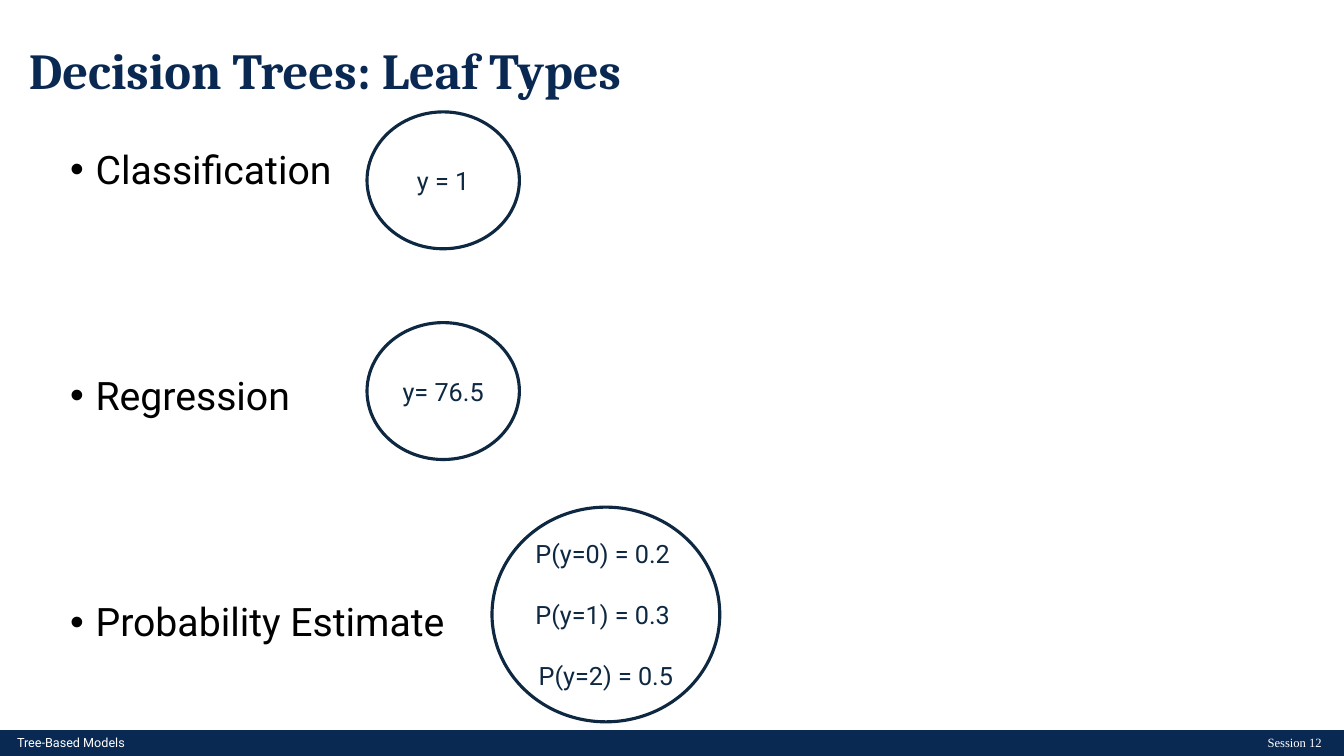
from dataclasses import dataclass

from lxml import etree
from pptx import Presentation
from pptx.dml.color import RGBColor
from pptx.enum.shapes import MSO_SHAPE
from pptx.enum.text import MSO_ANCHOR, PP_ALIGN
from pptx.oxml.ns import qn
from pptx.util import Cm, Pt

OVAL, RECT = MSO_SHAPE.OVAL, MSO_SHAPE.RECTANGLE
TOP, MIDDLE = MSO_ANCHOR.TOP, MSO_ANCHOR.MIDDLE
LEFT, CENTER = PP_ALIGN.LEFT, PP_ALIGN.CENTER
RIGHT, JUSTIFY = PP_ALIGN.RIGHT, PP_ALIGN.JUSTIFY


@dataclass(frozen=True)
class Style:
    font: str
    size: float
    color: RGBColor
    bold: bool = False


@dataclass(frozen=True)
class Theme:
    navy = RGBColor(0x09, 0x29, 0x53)
    ink = RGBColor(0x0E, 0x28, 0x41)
    white = RGBColor(0xFF, 0xFF, 0xFF)
    title = Style("Cambria", 36, navy, True)
    body = Style("Roboto", 28, RGBColor(0, 0, 0))
    leaf = Style("Roboto", 18, ink)
    topic = Style("Roboto", 9, white)
    page = Style("Times New Roman", 9, white)


@dataclass(frozen=True)
class Box:
    left: float
    top: float
    width: float
    height: float

    def cm(self) -> tuple:
        return Cm(self.left), Cm(self.top), Cm(self.width), Cm(self.height)


@dataclass(frozen=True)
class Leaf:
    box: Box
    lines: tuple


@dataclass(frozen=True)
class Label:
    box: Box
    lines: tuple
    style: Style
    align: PP_ALIGN = LEFT
    anchor: MSO_ANCHOR = MIDDLE
    spacing: float = 1
    gap: float = 0
    bullet: bool = False


THEME = Theme()
WIDE, HIGH = 33.87, 19.05
TYPES = ("Classification", "Regression", "Probability Estimate")
LABELS = (
    Label(Box(0.48, 0, 29.21, 3.68), ("Decision Trees: Leaf Types",),
          THEME.title, spacing=0.9),
    Label(Box(1.52, 3.66, 29.21, 14.1), TYPES, THEME.body, JUSTIFY, TOP,
          spacing=0.9, gap=131.5, bullet=True),
    Label(Box(0.18, 18.39, 18.9, 0.64), ("Tree-Based Models",), THEME.topic),
    Label(Box(14.66, 18.39, 18.9, 0.64), ("Session 12",), THEME.page, RIGHT),
)
LEAVES = (
    Leaf(Box(9.25, 2.82, 3.84, 3.45), ("y = 1",)),
    Leaf(Box(9.25, 8.13, 3.84, 3.45), ("y= 76.5",)),
    Leaf(Box(12.4, 12.78, 5.74, 5.41),
         ("P(y=0) = 0.2 ", "P(y=1) = 0.3 ", "P(y=2) = 0.5")),
)


def add_bullet(para) -> None:
    """Give the paragraph a round bullet with a hanging indent."""
    props = para._p.get_or_add_pPr()
    props.set("marL", str(Cm(0.64)))
    props.set("indent", str(-Cm(0.64)))
    etree.SubElement(props, qn("a:buFont")).set("typeface", "Arial")
    etree.SubElement(props, qn("a:buChar")).set("char", "•")


def write(frame, label: Label) -> None:
    frame.word_wrap = True
    frame.vertical_anchor = label.anchor
    for i, line in enumerate(label.lines):
        para = frame.add_paragraph() if i else frame.paragraphs[0]
        para.text = line
        para.alignment = label.align
        para.line_spacing = label.spacing
        if i:
            para.space_before = Pt(label.gap)
        if label.bullet:
            add_bullet(para)
        font, style = para.font, label.style
        font.name, font.size, font.bold = style.font, Pt(style.size), style.bold
        font.color.rgb = style.color


def add_shape(slide, kind: MSO_SHAPE, box: Box, fill: RGBColor,
              line: RGBColor, weight: float):
    shape = slide.shapes.add_shape(kind, *box.cm())
    shape.shadow.inherit = False
    shape.fill.solid()
    shape.fill.fore_color.rgb = fill
    shape.line.color.rgb = line
    shape.line.width = Pt(weight)
    return shape


def add_leaf(slide, leaf: Leaf) -> None:
    oval = add_shape(slide, OVAL, leaf.box, THEME.white, THEME.ink, 2.25)
    frame = oval.text_frame
    frame.margin_left = frame.margin_right = 0
    write(frame, Label(leaf.box, leaf.lines, THEME.leaf, CENTER, gap=22))


def main() -> None:
    deck = Presentation()
    deck.slide_width, deck.slide_height = Cm(WIDE), Cm(HIGH)
    slide = deck.slides.add_slide(deck.slide_layouts[6])
    bar = Box(0, 18.42, WIDE, 0.63)
    add_shape(slide, RECT, bar, THEME.navy, THEME.navy, 1.5)
    for label in LABELS:
        write(slide.shapes.add_textbox(*label.box.cm()).text_frame, label)
    for leaf in LEAVES:
        add_leaf(slide, leaf)
    deck.save("out.pptx")


if __name__ == "__main__":
    main()
